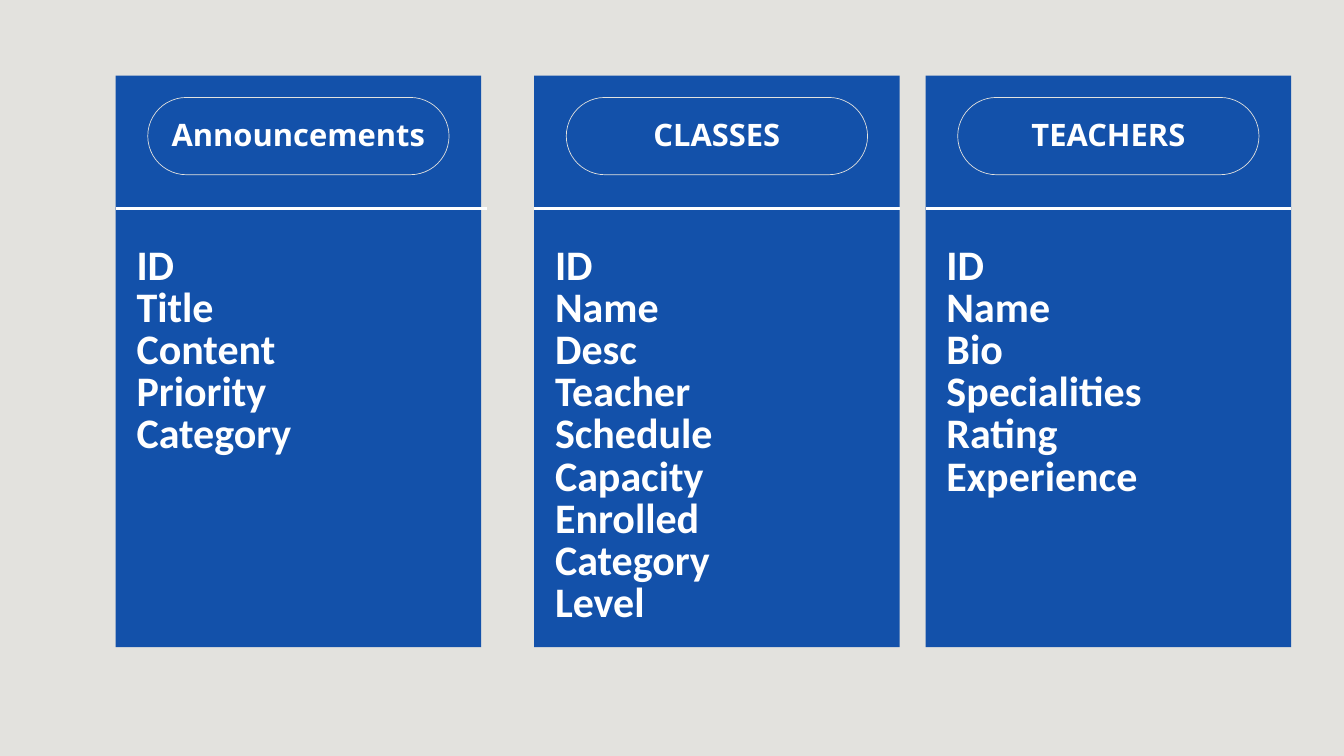
from lxml.etree import SubElement
from pptx import Presentation
from pptx.dml.color import RGBColor
from pptx.enum.shapes import MSO_CONNECTOR, MSO_SHAPE
from pptx.enum.text import MSO_AUTO_SIZE, PP_ALIGN
from pptx.oxml.ns import qn
from pptx.util import Pt

BLUE = RGBColor(0x13, 0x51, 0xAA)
STONE = RGBColor(0xE3, 0xE2, 0xDE)
WHITE = RGBColor(0xFF, 0xFF, 0xFF)

# Content: heading, card left, divider length, fields
CARD_WIDTH = 391.7
TABLES = [
    ("Announcements", 123.9, 398, ["ID", "Title", "Content", "Priority", "Category"]),
    ("CLASSES", 572.3, CARD_WIDTH,
     ["ID", "Name", "Desc", "Teacher", "Schedule", "Capacity", "Enrolled",
      "Category", "Level"]),
    ("TEACHERS", 991.7, CARD_WIDTH,
     ["ID", "Name", "Bio", "Specialities", "Rating", "Experience"]),
]

# Vertical layout and sizes
CARD_TOP, CARD_HEIGHT = 81, 612.5
PILL_TOP, PILL_WIDTH, PILL_HEIGHT = 104.4, 322.8, 82.8
HEADING_TOP, HEADING_WIDTH, HEADING_HEIGHT = 127.4, 292.3, 38.2
DIVIDER_TOP = 223.2
FIELDS_TOP, FIELDS_INDENT, FIELDS_WIDTH, FIELD_SIZE = 265, 22.4, 347, 45


def add_box(slide, kind, left, top, width, height):
    shape = slide.shapes.add_shape(kind, Pt(left), Pt(top), Pt(width), Pt(height))
    shape.shadow.inherit = False
    return shape


def add_text(slide, left, top, width, height, lines, font_name, size, spacing, align):
    box = slide.shapes.add_textbox(Pt(left), Pt(top), Pt(width), Pt(height))
    frame = box.text_frame
    frame.word_wrap = True
    frame.auto_size = MSO_AUTO_SIZE.SHAPE_TO_FIT_TEXT
    frame.margin_left = frame.margin_right = frame.margin_top = frame.margin_bottom = 0
    frame.text = "\n".join(lines)
    for paragraph in frame.paragraphs:
        paragraph.alignment = align
        paragraph.line_spacing = Pt(spacing)
        font = paragraph.font
        font.name, font.size, font.bold = font_name, Pt(size), True
        font.color.rgb = WHITE


def add_table_card(slide, heading, left, divider_length, fields):
    center = left + CARD_WIDTH / 2

    # Card background
    card = add_box(slide, MSO_SHAPE.RECTANGLE, left, CARD_TOP, CARD_WIDTH, CARD_HEIGHT)
    card.fill.solid()
    card.fill.fore_color.rgb = BLUE
    card.line.fill.background()

    # Heading in a rounded outline
    pill = add_box(slide, MSO_SHAPE.ROUNDED_RECTANGLE, center - PILL_WIDTH / 2,
                   PILL_TOP, PILL_WIDTH, PILL_HEIGHT)
    pill.adjustments[0] = 0.5
    pill.fill.background()
    pill.line.color.rgb = STONE
    pill.line.width = Pt(0.75)
    add_text(slide, center - HEADING_WIDTH / 2, HEADING_TOP, HEADING_WIDTH,
             HEADING_HEIGHT, [heading], "Open Sans", 33.1, 36.4, PP_ALIGN.CENTER)

    # Divider
    divider = slide.shapes.add_connector(
        MSO_CONNECTOR.STRAIGHT, Pt(left), Pt(DIVIDER_TOP),
        Pt(left + divider_length), Pt(DIVIDER_TOP))
    divider.line.color.rgb = WHITE
    divider.line.width = Pt(3)
    SubElement(divider._element.spPr, qn("a:effectLst"))

    # Fields
    add_text(slide, left + FIELDS_INDENT, FIELDS_TOP, FIELDS_WIDTH,
             FIELD_SIZE * len(fields) + 3, fields, "Calibri", FIELD_SIZE,
             FIELD_SIZE, PP_ALIGN.LEFT)


def main():
    presentation = Presentation()
    presentation.slide_width, presentation.slide_height = Pt(1440), Pt(810)
    slide = presentation.slides.add_slide(presentation.slide_layouts[6])
    slide.background.fill.solid()
    slide.background.fill.fore_color.rgb = STONE
    for table in TABLES:
        add_table_card(slide, *table)
    presentation.save("out.pptx")


if __name__ == "__main__":
    main()
